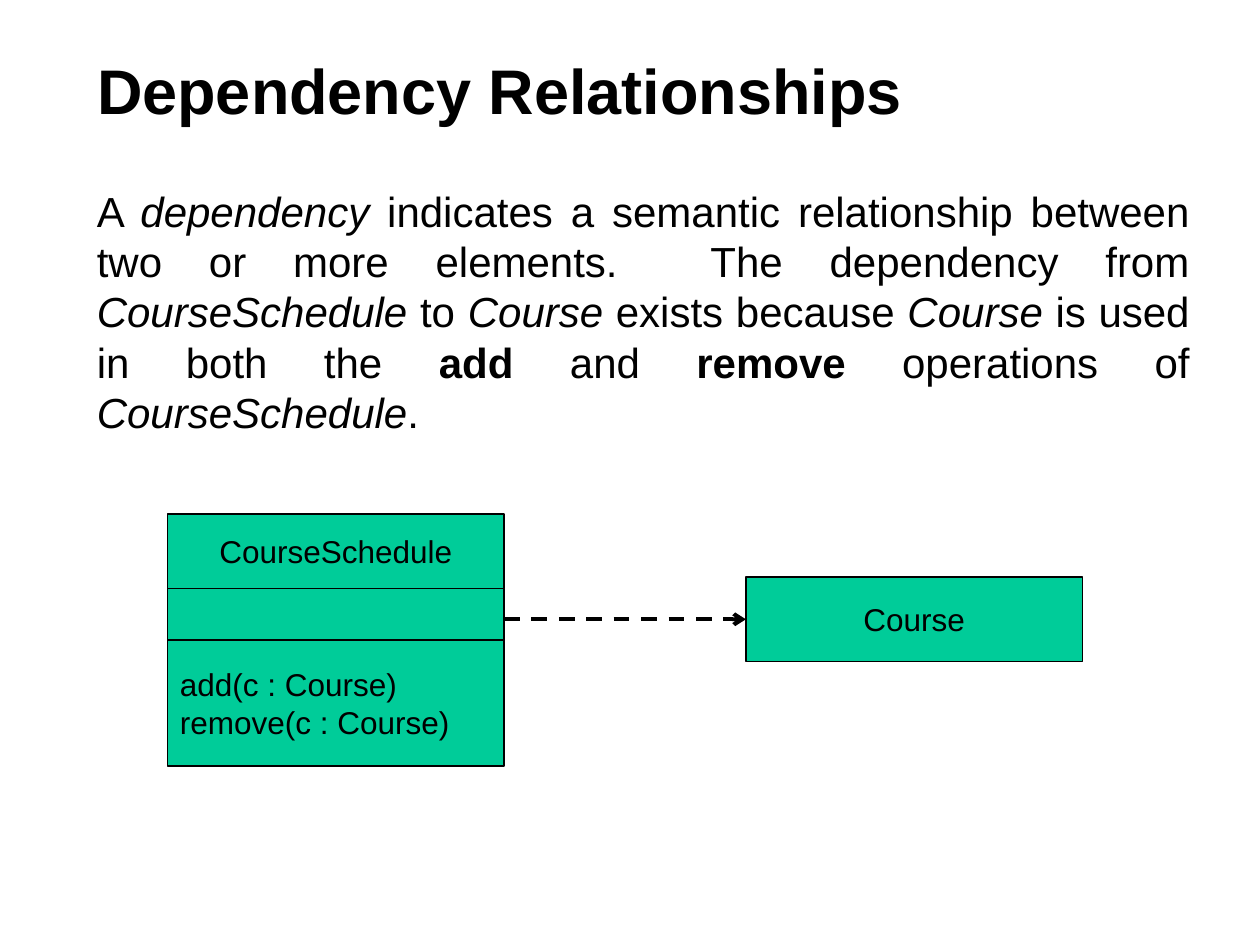
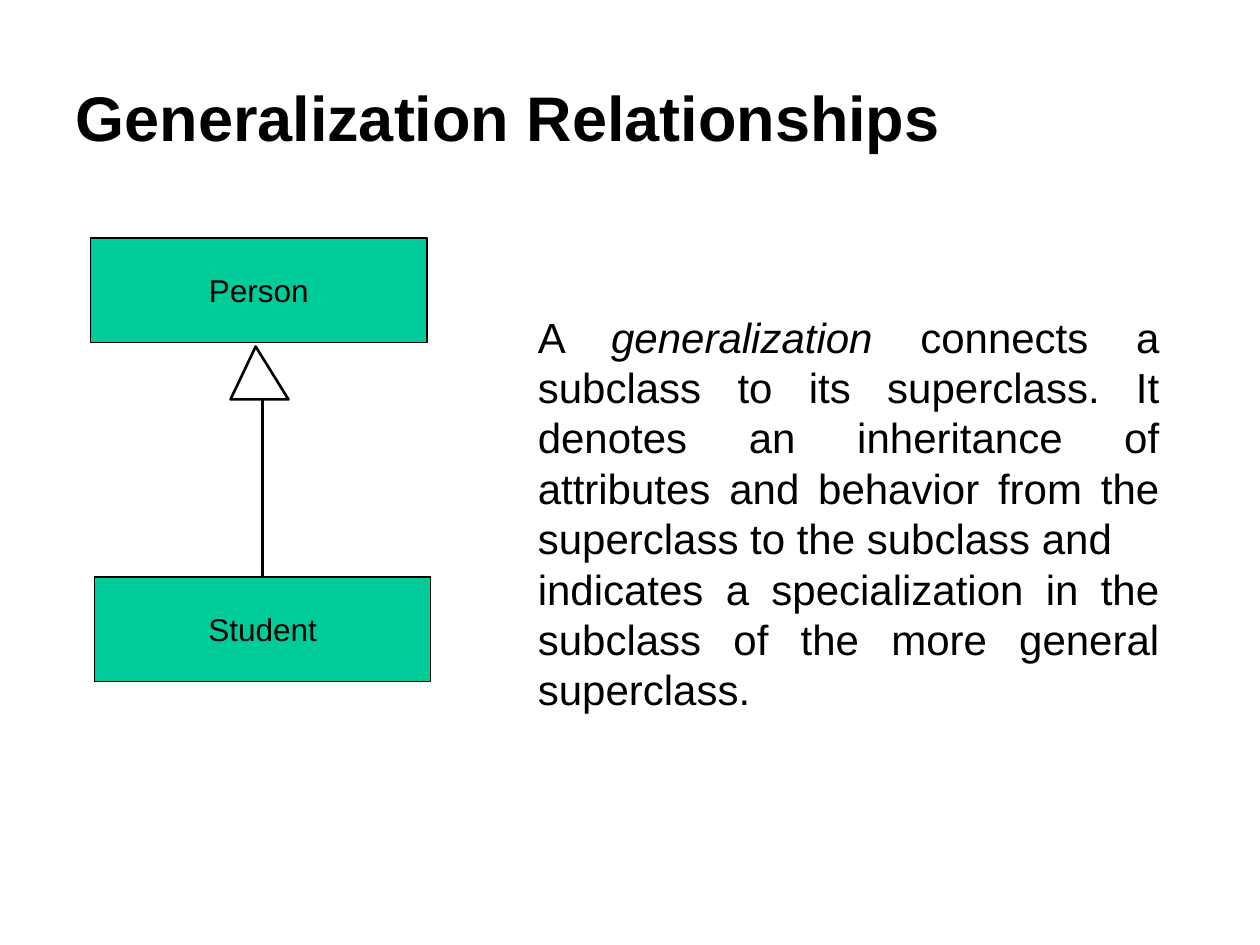
from lxml import etree
from pptx import Presentation
from pptx.dml.color import RGBColor
from pptx.enum.dml import MSO_LINE_DASH_STYLE as Dash
from pptx.enum.shapes import MSO_CONNECTOR as Connector, MSO_SHAPE as Shape
from pptx.enum.text import MSO_ANCHOR as Anchor, MSO_AUTO_SIZE as AutoSize, PP_ALIGN as Align
from pptx.oxml.ns import qn
from pptx.util import Inches, Pt

FONT = "Arial"
BLACK, WHITE, GREEN = "000000", "FFFFFF", "00CC99"
CLASS_WIDTH = 2.67

DEPENDENCY = {
    "title": "Dependency Relationships",
    "title_box": (0.67, 0.42, 8.58, 0.58),
    "text_box": (0.67, 1.42, 8.87, 2.5),
    "text": [[
        ("A ", ""), ("dependency", "i"),
        (" indicates a semantic relationship between two or more elements.  The dependency from ", ""),
        ("CourseSchedule", "i"), (" to ", ""), ("Course", "i"),
        (" exists because ", ""), ("Course", "i"),
        (" is used in both the ", ""), ("add", "b"), (" and ", ""),
        ("remove", "b"), (" operations of ", ""),
        ("CourseSchedule", "i"), (".", ""),
    ]],
}
SCHEDULE_LEFT, SCHEDULE_TOP = 1.33, 4.08
SCHEDULE_PARTS = [
    (["CourseSchedule"], 0.59, Align.CENTER),
    ([], 0.41, Align.CENTER),
    (["add(c : Course)", "remove(c : Course)"], 1, Align.LEFT),
]
COURSE = ("Course", 5.92, 4.58, 0.67)

GENERALIZATION = {
    "title": "Generalization Relationships",
    "title_box": (0.5, 0.3, 9, 1.25),
    "text_box": (4.17, 2.42, 5.13, 3.3),
    "text": [
        [("A ", ""), ("generalization", "i"),
         (" connects a subclass to its superclass. It denotes an inheritance of attributes "
          "and behavior from the superclass to the subclass and", "")],
        [("indicates a specialization in the subclass of the more general superclass.", "")],
    ],
}
PERSON = ("Person", 0.72, 1.89, 0.83)
STUDENT = ("Student", 0.75, 4.58, 0.83)
TRIANGLE = [(2.03, 2.75), (1.83, 3.17), (2.29, 3.17)]


def color(value):
    return RGBColor.from_string(value)


def write(frame, paragraphs, size=18, align=Align.LEFT, anchor=Anchor.MIDDLE, bold=False):
    frame.word_wrap = True
    frame.auto_size = AutoSize.NONE
    frame.vertical_anchor = anchor
    for index, runs in enumerate(paragraphs):
        paragraph = frame.add_paragraph() if index else frame.paragraphs[0]
        paragraph.alignment = align
        for text, style in [(runs, "")] if isinstance(runs, str) else runs:
            run = paragraph.add_run()
            run.text = text
            run.font.name, run.font.size = FONT, Pt(size)
            run.font.bold = bold or style == "b"
            run.font.italic = style == "i"
            run.font.color.rgb = color(BLACK)


def outline(shape, fill, width):
    shape.shadow.inherit = False
    shape.fill.solid()
    shape.fill.fore_color.rgb = color(fill)
    shape.line.color.rgb = color(BLACK)
    shape.line.width = Pt(width)


def add_class(slide, lines, left, top, height, align=Align.CENTER):
    box = slide.shapes.add_shape(
        Shape.RECTANGLE, *map(Inches, (left, top, CLASS_WIDTH, height)))
    outline(box, GREEN, 0.75)
    write(box.text_frame, lines, align=align)
    return box


def add_line(slide, start, end, width):
    line = slide.shapes.add_connector(Connector.STRAIGHT, *map(Inches, start + end))
    line.line.color.rgb = color(BLACK)
    line.line.width = Pt(width)
    etree.SubElement(line._element.spPr, qn("a:effectLst"))
    return line


def add_page(deck, content):
    slide = deck.slides.add_slide(deck.slide_layouts[5])
    title = slide.shapes.title
    title.left, title.top, title.width, title.height = map(Inches, content["title_box"])
    write(title.text_frame, [content["title"]], size=36, bold=True)
    body = slide.shapes.add_textbox(*map(Inches, content["text_box"]))
    write(body.text_frame, content["text"], size=24, align=Align.JUSTIFY, anchor=Anchor.TOP)
    return slide


def build_dependency(deck):
    slide = add_page(deck, DEPENDENCY)
    top = SCHEDULE_TOP
    for lines, height, align in SCHEDULE_PARTS:
        add_class(slide, lines, SCHEDULE_LEFT, top, height, align)
        top += height
    name, left, course_top, height = COURSE
    course = add_class(slide, [name], left, course_top, height)
    middle = course_top + height / 2
    dependency = add_line(slide, (SCHEDULE_LEFT + CLASS_WIDTH, middle), (left, middle), 2.25)
    dependency.end_connect(course, 1)
    dependency.line.dash_style = Dash.DASH
    etree.SubElement(dependency.line._get_or_add_ln(), qn("a:tailEnd"), type="arrow")


def build_generalization(deck):
    slide = add_page(deck, GENERALIZATION)
    for name, left, top, height in (PERSON, STUDENT):
        class_box = add_class(slide, [name], left, top, height)
    center = left + CLASS_WIDTH / 2
    inheritance = add_line(slide, (center, top), (center, TRIANGLE[1][1]), 1.5)
    inheritance.begin_connect(class_box, 0)
    corners = [tuple(map(Inches, corner)) for corner in TRIANGLE]
    builder = slide.shapes.build_freeform(*corners[0])
    builder.add_line_segments(corners[1:], close=True)
    outline(builder.convert_to_shape(), WHITE, 1.5)


def main():
    deck = Presentation()
    deck.slide_width, deck.slide_height = Inches(10), Inches(7.5)
    build_dependency(deck)
    build_generalization(deck)
    deck.save("out.pptx")


if __name__ == "__main__":
    main()
